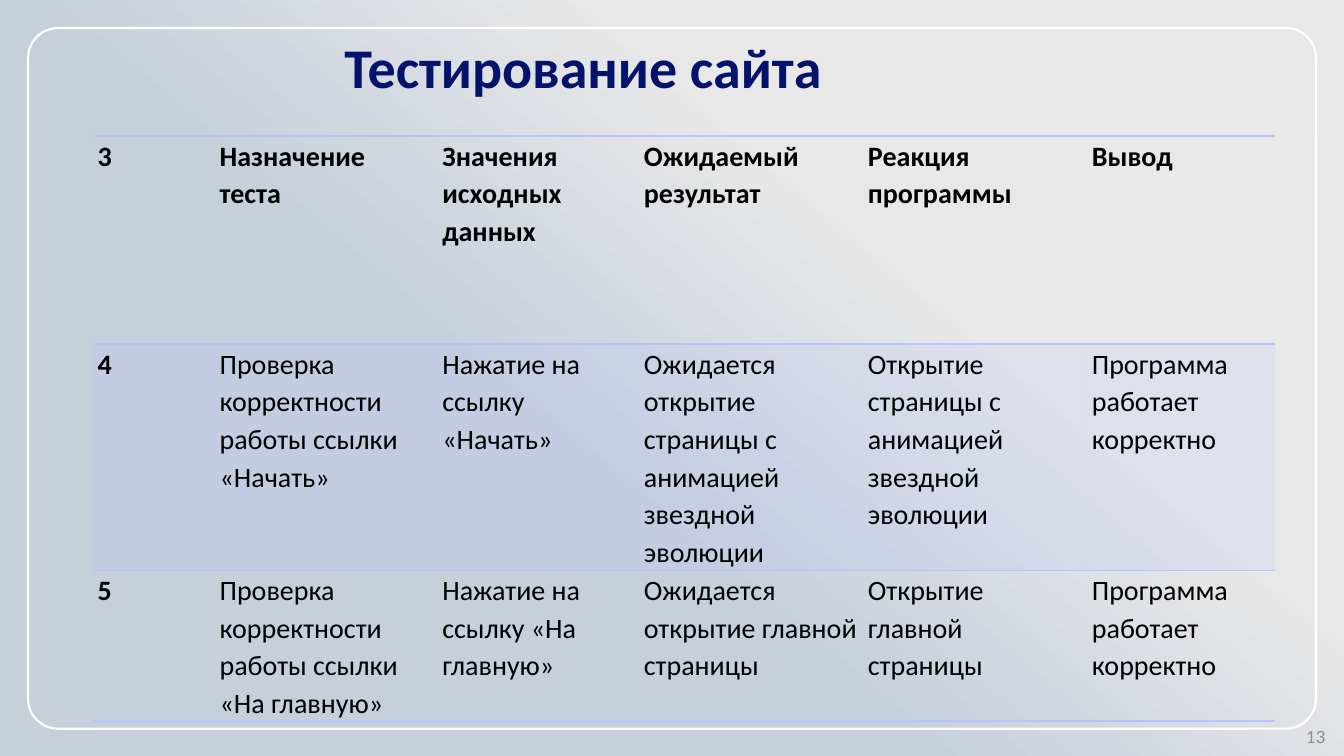
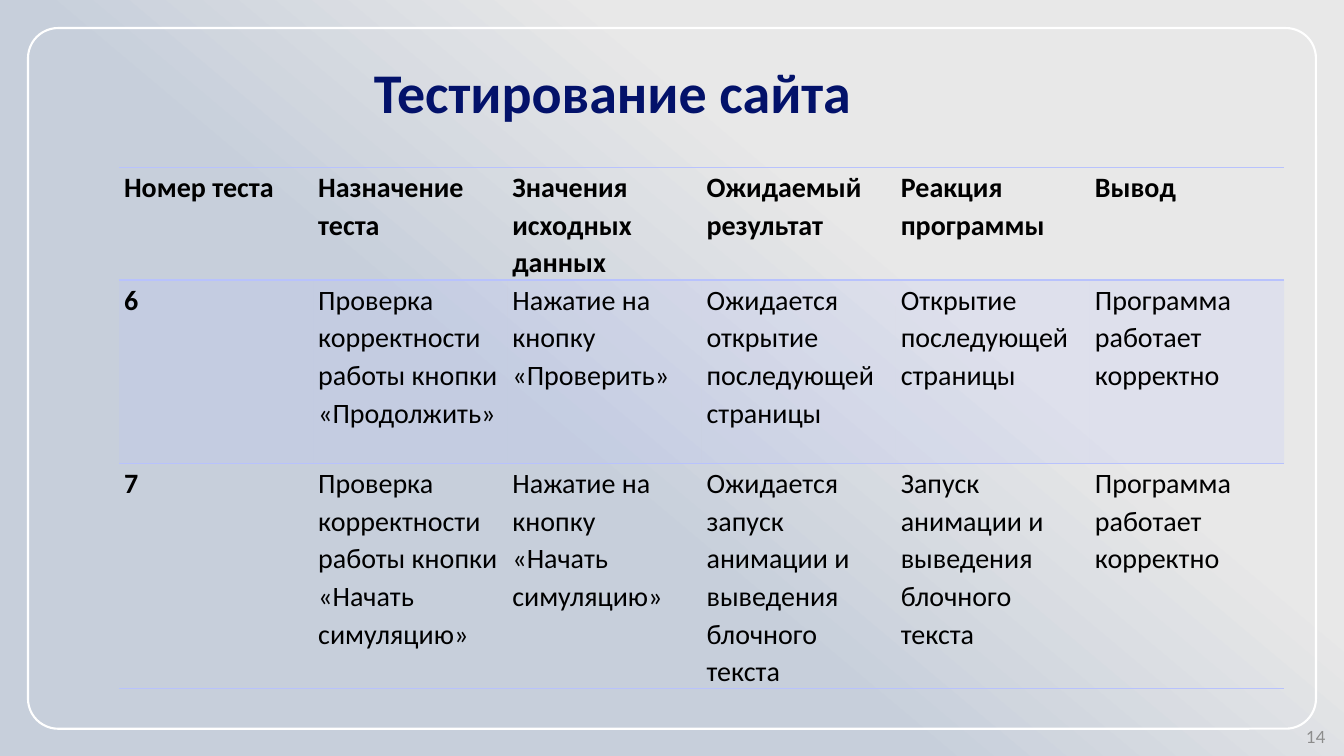
import pptx
import pptx.dml.color
import pptx.enum.shapes
import pptx.enum.text
import pptx.oxml
import pptx.oxml.ns
import pptx.util

Pt = pptx.util.Pt

NAVY, BLACK, GREY, WHITE = "03126A", "000000", "8C8C8C", "FFFFFF"
LILAC = "B8C2FD"
BACKGROUND_STOPS = [("E8E8E8", 0.33), ("C7CFDB", 0.59)]
NO_GRID_STYLE = "{2D5ABB26-0587-4C30-8999-92F81FD0307C}"

TITLE = "Тестирование сайта"
HEADINGS = ["Назначение теста", "Значения исходных данных", "Ожидаемый результат",
            "Реакция программы", "Вывод"]
WORKS = "Программа работает корректно"

SLIDES = [
    {
        "number": "13",
        "title_box": (239, 19.5, 499, 55.5),
        "title_wraps": True,
        "table_at": (66.2, 97.2),
        "columns": [87.1, 159.1, 144, 160, 160, 134.6],
        "row_heights": [148.5, 161, 107],
        "rows": [
            ["3", *HEADINGS],
            ["4", "Проверка корректности работы ссылки «Начать»",
             "Нажатие на ссылку «Начать»",
             "Ожидается открытие страницы с анимацией звездной эволюции",
             "Открытие страницы с анимацией звездной эволюции", WORKS],
            ["5", "Проверка корректности работы ссылки «На главную»",
             "Нажатие на ссылку «На главную»",
             "Ожидается открытие главной страницы",
             "Открытие главной страницы", WORKS],
        ],
    },
    {
        "number": "14",
        "title_box": (260, 37.5, 359, 55.5),
        "title_wraps": False,
        "table_at": (85, 119.5),
        "columns": [138.7] * 6,
        "row_heights": [80.5, 131, 161],
        "rows": [
            ["Номер теста", *HEADINGS],
            ["6", "Проверка корректности работы кнопки «Продолжить»",
             "Нажатие на кнопку «Проверить»",
             "Ожидается открытие последующей страницы",
             "Открытие последующей страницы", WORKS],
            ["7", "Проверка корректности работы кнопки «Начать симуляцию»",
             "Нажатие на кнопку «Начать симуляцию»",
             "Ожидается запуск анимации и выведения блочного текста",
             "Запуск анимации и выведения блочного текста", WORKS],
        ],
    },
]


def rgb(color):
    return pptx.dml.color.RGBColor.from_string(color)


def add_run(paragraph, text, size, color, font="Calibri", bold=False):
    run = paragraph.add_run()
    run.text = text
    run.font.size = Pt(size)
    run.font.name = font
    run.font.bold = bold
    run.font.color.rgb = rgb(color)


def set_background(master):
    fill = master.background.fill
    fill.gradient()
    fill.gradient_angle = 230
    for stop, (color, position) in zip(fill.gradient_stops, BACKGROUND_STOPS):
        stop.color.rgb = rgb(color)
        stop.position = position


def add_frame(slide):
    frame = slide.shapes.add_shape(
        pptx.enum.shapes.MSO_SHAPE.ROUNDED_RECTANGLE, Pt(20), Pt(20), Pt(920), Pt(500.5))
    frame.adjustments[0] = 0.043
    frame.shadow.inherit = False
    frame.fill.background()
    frame.line.color.rgb = rgb(WHITE)
    frame.line.width = Pt(1.5)


def add_title(slide, box, wraps):
    frame = slide.shapes.add_textbox(*map(Pt, box)).text_frame
    frame.word_wrap = wraps
    add_run(frame.paragraphs[0], TITLE, 40, NAVY, bold=True)


def add_number(slide, number):
    frame = slide.shapes.add_textbox(Pt(738), Pt(517), Pt(216), Pt(18)).text_frame
    frame.word_wrap = True
    frame.vertical_anchor = pptx.enum.text.MSO_ANCHOR.MIDDLE
    frame.paragraphs[0].alignment = pptx.enum.text.PP_ALIGN.RIGHT
    add_run(frame.paragraphs[0], number, 12, GREY, font="Lato")


def tint(cell):
    """Fill the cell with lilac at 20 % opacity."""
    cell.fill.solid()
    cell.fill.fore_color.rgb = rgb(LILAC)
    color = cell._tc.tcPr.find(".//" + pptx.oxml.ns.qn("a:srgbClr"))
    color.append(pptx.oxml.parse_xml(
        f'<a:alpha {pptx.oxml.ns.nsdecls("a")} val="20000"/>'))


def add_borders(cell, sides):
    """Draw lilac rules on the given sides, listed top first."""
    for index, side in enumerate(sides):
        cell._tc.get_or_add_tcPr().insert(index, pptx.oxml.parse_xml(
            f'<a:ln{side} {pptx.oxml.ns.nsdecls("a")} w="{Pt(1)}"><a:solidFill>'
            f'<a:srgbClr val="{LILAC}"/></a:solidFill></a:ln{side}>'))


def add_tests(slide, position, columns, heights, rows):
    table = slide.shapes.add_table(
        len(rows), len(columns), *map(Pt, position),
        Pt(sum(columns)), Pt(sum(heights))).table
    table._tbl.tblPr.find(pptx.oxml.ns.qn("a:tableStyleId")).text = NO_GRID_STYLE
    table.horz_banding = False
    for column, width in zip(table.columns, columns):
        column.width = Pt(width)
    for row, height in zip(table.rows, heights):
        row.height = Pt(height)

    borders = ["TB", "T", "B"]
    for r, row in enumerate(rows):
        for c, text in enumerate(row):
            cell = table.cell(r, c)
            cell.margin_left = cell.margin_right = Pt(3.6)
            cell.margin_top = cell.margin_bottom = 0
            if r == 1:
                tint(cell)
            else:
                cell.fill.background()
            add_borders(cell, borders[r])
            paragraph = cell.text_frame.paragraphs[0]
            paragraph.line_spacing = 1.1
            add_run(paragraph, text, 20, BLACK, bold=r == 0 or c == 0)


def main():
    deck = pptx.Presentation()
    deck.slide_width, deck.slide_height = Pt(960), Pt(540)
    set_background(deck.slide_master)
    for content in SLIDES:
        slide = deck.slides.add_slide(deck.slide_layouts[6])
        add_frame(slide)
        add_tests(slide, content["table_at"], content["columns"],
                  content["row_heights"], content["rows"])
        add_number(slide, content["number"])
        add_title(slide, content["title_box"], content["title_wraps"])
    deck.save("out.pptx")


if __name__ == "__main__":
    main()
